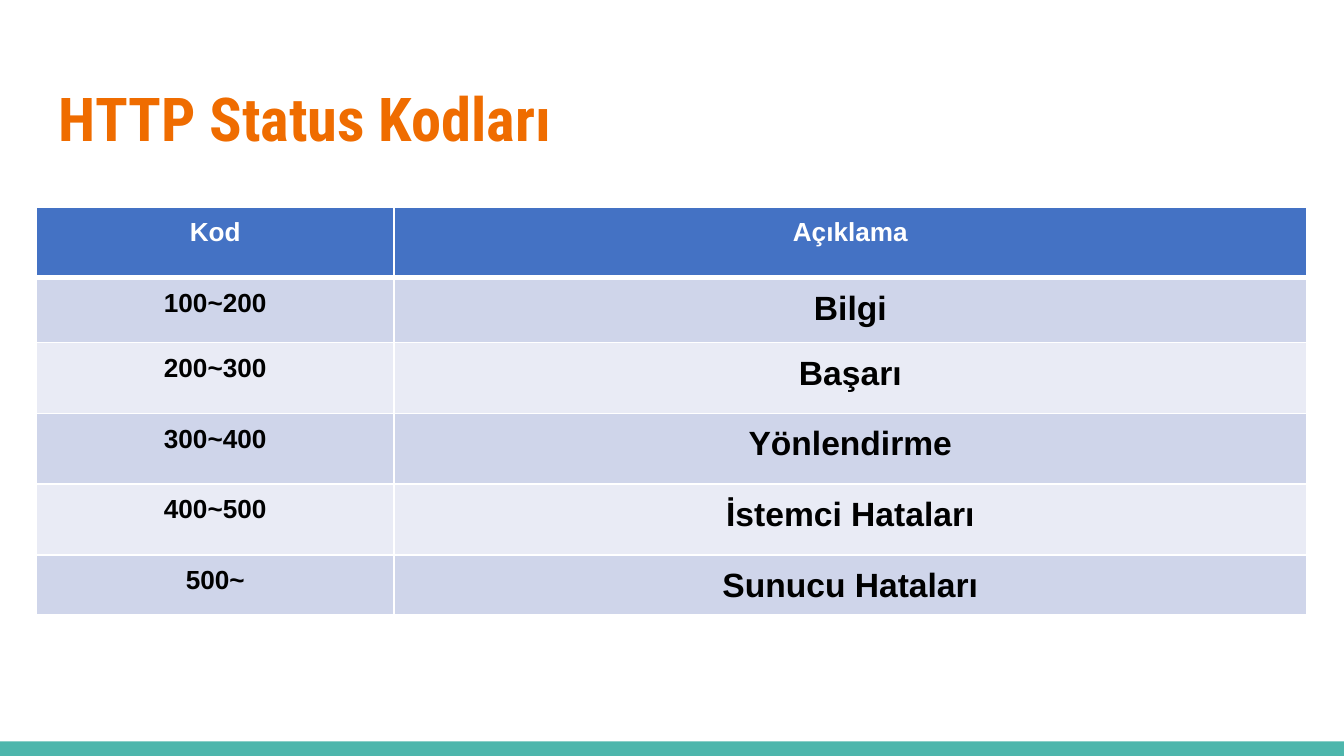
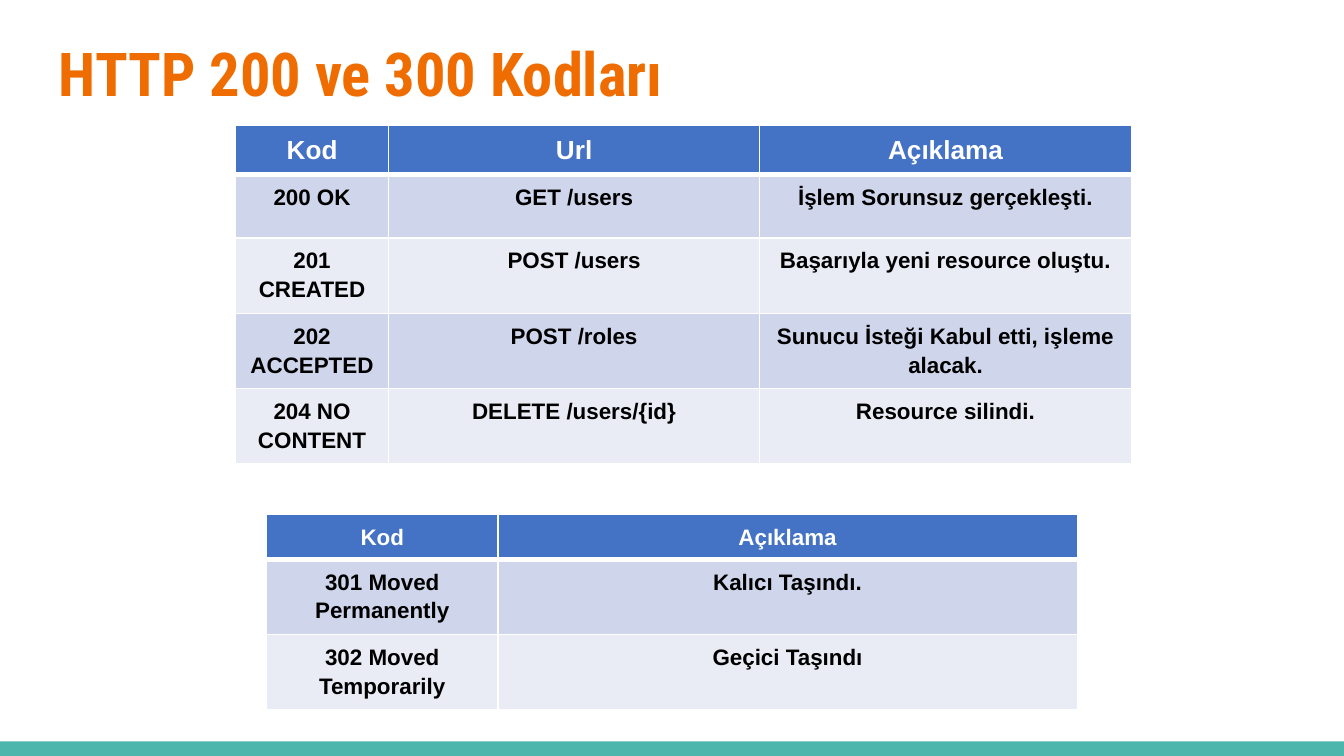
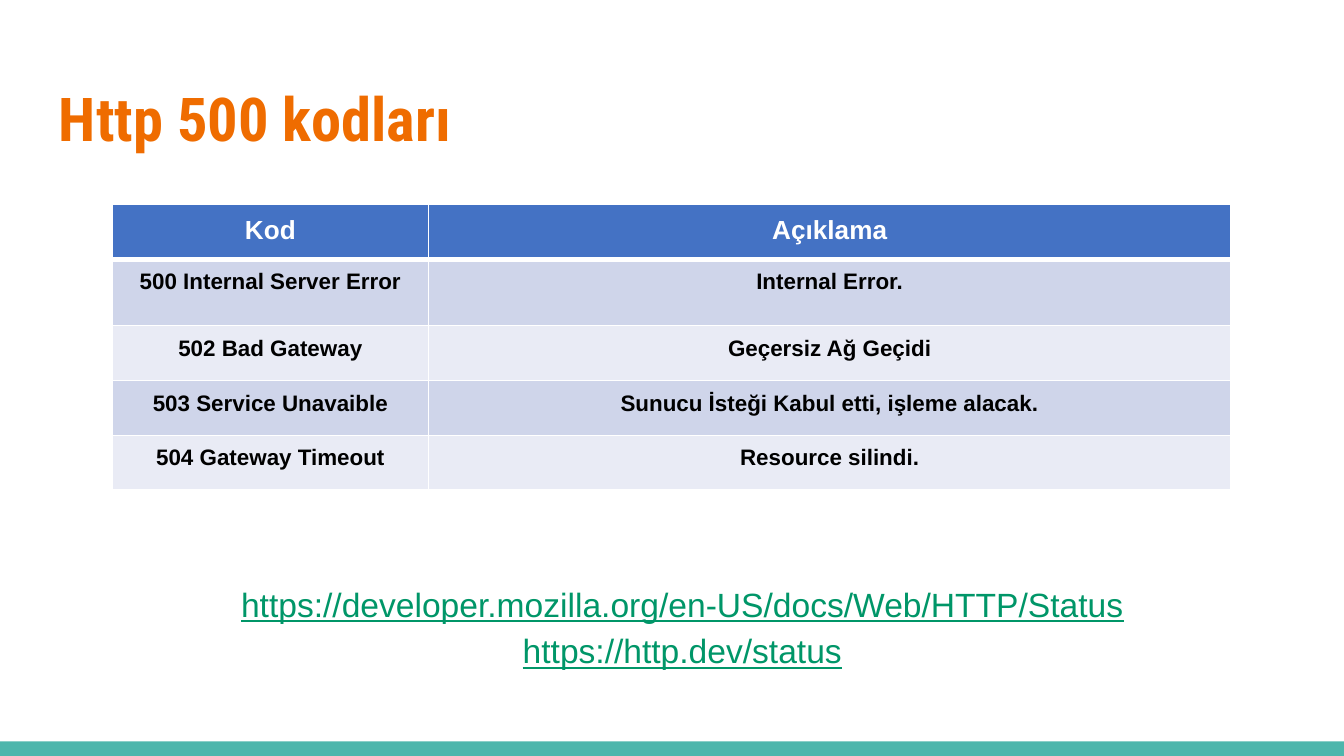
from lxml import etree
from pptx import Presentation
from pptx.dml.color import RGBColor
from pptx.enum.shapes import MSO_SHAPE
from pptx.enum.text import MSO_ANCHOR, PP_ALIGN
from pptx.oxml.ns import qn
from pptx.util import Pt

RECT = MSO_SHAPE.RECTANGLE
MIDDLE = MSO_ANCHOR.MIDDLE
CENTER = PP_ALIGN.CENTER

WHITE = RGBColor(0xFF, 0xFF, 0xFF)
BLACK = RGBColor(0x00, 0x00, 0x00)
TEAL = RGBColor(0x4D, 0xB6, 0xAC)
ORANGE = RGBColor(0xEF, 0x6C, 0x00)
GREEN = RGBColor(0x00, 0x96, 0x68)
HEADER = RGBColor(0x44, 0x72, 0xC4)
BANDS = (RGBColor(0xE9, 0xEB, 0xF5), RGBColor(0xCF, 0xD5, 0xEA))

TITLE_FONT = "Roboto Condensed"
BODY_FONT = "Arial"
SLIDE_W, SLIDE_H = 720, 405
BAND_H = 7.8
MARGIN = 24.5
TITLE_H = 55.5
THIN, THICK = 0.75, 3


def style(p, name, size, color, bold=False):
    p.font.name = name
    p.font.size = Pt(size)
    p.font.color.rgb = color
    p.font.bold = bold


def add_text_box(slide, x, y, w, h):
    box = slide.shapes.add_textbox(Pt(x), Pt(y), Pt(w), Pt(h))
    tf = box.text_frame
    tf.word_wrap = True
    tf.margin_left = tf.margin_right = Pt(7.2)
    tf.margin_top = tf.margin_bottom = Pt(7.2)
    return tf


def add_base(prs, title, title_y):
    slide = prs.slides.add_slide(prs.slide_layouts[6])
    band = slide.shapes.add_shape(RECT, 0, Pt(SLIDE_H - BAND_H), Pt(SLIDE_W), Pt(BAND_H))
    band.shadow.inherit = False
    band.fill.solid()
    band.fill.fore_color.rgb = TEAL
    band.line.fill.background()
    tf = add_text_box(slide, MARGIN, title_y, SLIDE_W - 2 * MARGIN, TITLE_H)
    tf.vertical_anchor = MIDDLE
    p = tf.paragraphs[0]
    p.text = title
    style(p, TITLE_FONT, 32.4, ORANGE, True)
    return slide


def add_borders(cell, top, bottom):
    tcPr = cell._tc.get_or_add_tcPr()
    for side, width in (("L", THIN), ("R", THIN), ("T", top), ("B", bottom)):
        ln = etree.SubElement(tcPr, qn(f"a:ln{side}"), w=str(Pt(width)))
        fill = etree.SubElement(ln, qn("a:solidFill"))
        etree.SubElement(fill, qn("a:srgbClr"), val=str(WHITE))


def add_code_table(slide, x, y, widths, heights, rows, head_size, body_sizes):
    frame = slide.shapes.add_table(len(rows), len(widths), Pt(x), Pt(y),
                                   Pt(sum(widths)), Pt(sum(heights)))
    table = frame.table
    table.horz_banding = False
    for column, width in zip(table.columns, widths):
        column.width = Pt(width)
    for i, (row, height) in enumerate(zip(rows, heights)):
        table.rows[i].height = Pt(height)
        for j, text in enumerate(row):
            cell = table.cell(i, j)
            add_borders(cell, THICK if i == 1 else THIN, THICK if i == 0 else THIN)
            cell.fill.solid()
            cell.fill.fore_color.rgb = BANDS[i % 2] if i else HEADER
            p = cell.text_frame.paragraphs[0]
            p.text = text
            p.alignment = CENTER
            p.line_spacing = 1.15
            style(p, BODY_FONT, body_sizes[j] if i else head_size,
                  BLACK if i else WHITE, True)


def add_links(slide, x, y, w, h, links):
    tf = add_text_box(slide, x, y, w, h)
    for i, link in enumerate(links):
        p = tf.add_paragraph() if i else tf.paragraphs[0]
        p.text = link
        p.alignment = CENTER
        p.line_spacing = 1.15
        style(p, BODY_FONT, 18, GREEN)
        p.font.underline = True


def add_status_slide(prs):
    slide = add_base(prs, "HTTP Status Kodları", 35.3)
    rows = [
        ("Kod", "Açıklama"),
        ("100~200", "Bilgi"),
        ("200~300", "Başarı"),
        ("300~400", "Yönlendirme"),
        ("400~500", "İstemci Hataları"),
        ("500~", "Sunucu Hataları"),
    ]
    add_code_table(slide, 19.6, 110.9, (191.5, 489), (38, 34.5, 38, 38, 38, 32),
                   rows, 14, (14, 18))


def add_success_slide(prs):
    slide = add_base(prs, "HTTP 200 ve 300 Kodları", 10.8)
    success = [
        ("Kod", "Url", "Açıklama"),
        ("200 OK", "GET /users", "İşlem Sorunsuz gerçekleşti."),
        ("201 CREATED", "POST /users", "Başarıyla yeni resource oluştu."),
        ("202 ACCEPTED", "POST /roles", "Sunucu İsteği Kabul etti, işleme alacak."),
        ("204 NO CONTENT", "DELETE /users/{id}", "Resource silindi."),
    ]
    redirect = [
        ("Kod", "Açıklama"),
        ("301 Moved Permanently", "Kalıcı Taşındı."),
        ("302 Moved Temporarily", "Geçici Taşındı"),
    ]
    add_code_table(slide, 126.2, 67, (82, 198.8, 199.2), (18, 34, 34, 39, 39),
                   success, 14, (12, 12, 12))
    add_code_table(slide, 142.8, 275.8, (124, 310.3), (20, 29.5, 29.5),
                   redirect, 12, (12, 12))


def add_server_error_slide(prs):
    slide = add_base(prs, "Http 500 kodları", 35.3)
    rows = [
        ("Kod", "Açıklama"),
        ("500 Internal Server Error", "Internal Error."),
        ("502 Bad Gateway", "Geçersiz Ağ Geçidi"),
        ("503 Service Unavaible", "Sunucu İsteği Kabul etti, işleme alacak."),
        ("504 Gateway Timeout", "Resource silindi."),
    ]
    add_code_table(slide, 60.3, 109.5, (169.2, 430), (29.3, 35.8, 29.3, 29.3, 29.3),
                   rows, 14, (12, 12))
    add_links(slide, 60.3, 302.4, 610.5, 61.2, (
        "https://developer.mozilla.org/en-US/docs/Web/HTTP/Status",
        "https://http.dev/status",
    ))


def main():
    prs = Presentation()
    prs.slide_width, prs.slide_height = Pt(SLIDE_W), Pt(SLIDE_H)
    add_status_slide(prs)
    add_success_slide(prs)
    add_server_error_slide(prs)
    prs.save("out.pptx")


if __name__ == "__main__":
    main()
